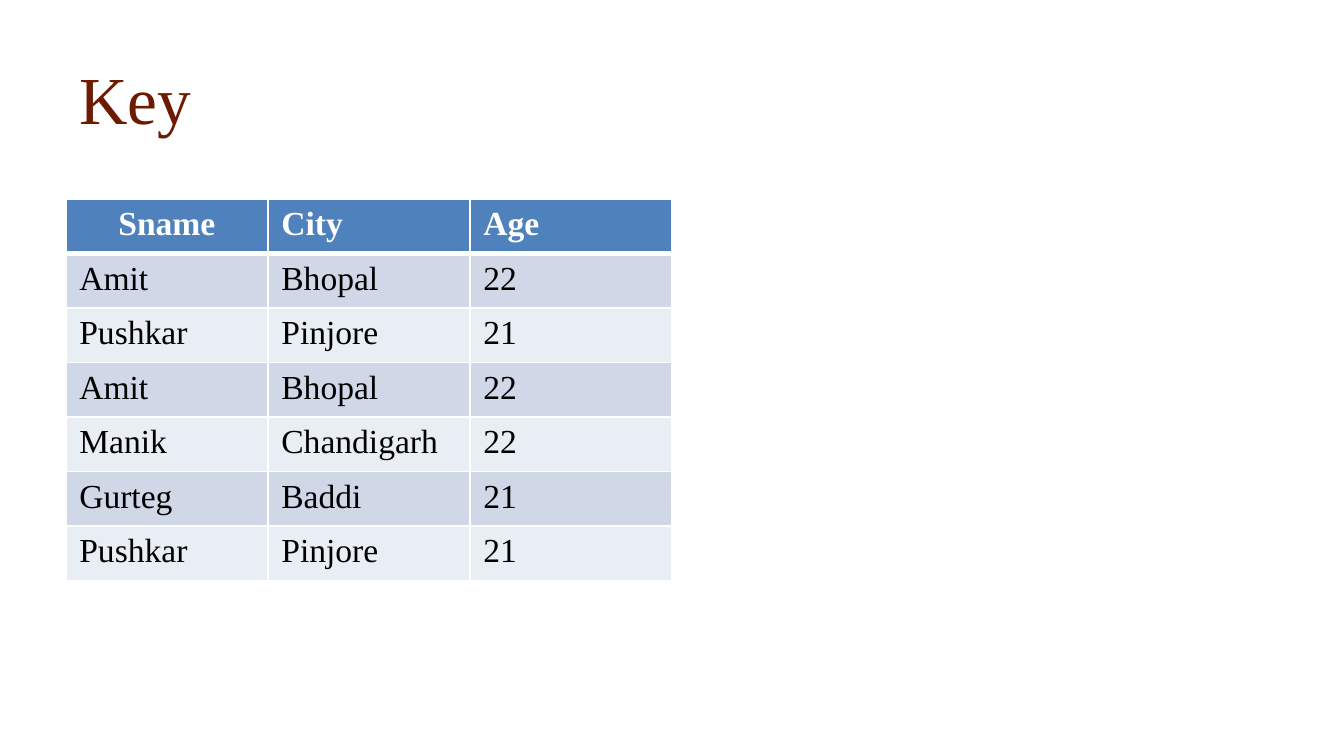
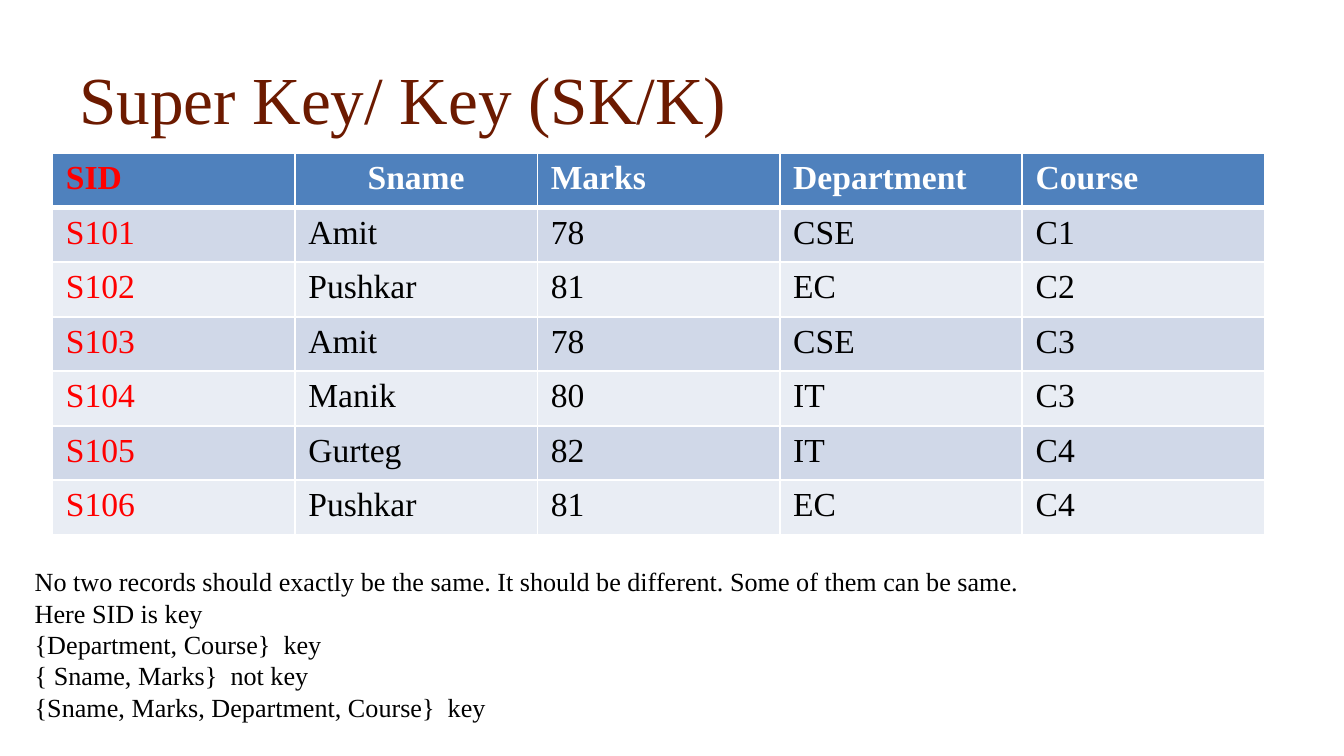
from dataclasses import dataclass

from lxml.etree import SubElement
from pptx import Presentation
from pptx.dml.color import RGBColor
from pptx.enum.text import MSO_ANCHOR as Anchor, PP_ALIGN as Align
from pptx.oxml.ns import qn
from pptx.util import Inches, Pt

SLIDE_WIDTH = 10
SLIDE_HEIGHT = SLIDE_WIDTH * 9 / 16
FONT = "Times New Roman"
MAROON, BLUE, RED = "6C1A00", "4F81BD", "FF0000"
WHITE, BLACK = "FFFFFF", "000000"
BANDS = ("D0D8E8", "E9EDF4")


@dataclass(frozen=True)
class Box:
    left: float
    top: float
    width: float
    height: float

    def lengths(self) -> list:
        return [Inches(n) for n in (self.left, self.top, self.width, self.height)]


@dataclass(frozen=True)
class Records:
    box: Box
    header: tuple[str, ...]
    rows: tuple[tuple[str, ...], ...]
    key: str = ""
    centred: str = "Sname"


TITLE_BOX = Box(0.49, 0.31, 9.02, 0.84)


def rgb(code: str) -> RGBColor:
    return RGBColor.from_string(code)


def add_run(paragraph, text: str, size: float, color: str, bold: bool = False) -> None:
    run = paragraph.add_run()
    run.text = text
    run.font.name = FONT
    run.font.size = Pt(size)
    run.font.bold = bold
    run.font.color.rgb = rgb(color)


def add_text(slide, box: Box, lines: tuple[str, ...], size: float, color: str,
             align: Align = Align.LEFT, anchor: Anchor = Anchor.TOP) -> None:
    frame = slide.shapes.add_textbox(*box.lengths()).text_frame
    frame.word_wrap = True
    frame.vertical_anchor = anchor
    for index, line in enumerate(lines):
        paragraph = frame.add_paragraph() if index else frame.paragraphs[0]
        paragraph.alignment = align
        add_run(paragraph, line, size, color)


def set_borders(cell, widths: dict[str, float]) -> None:
    properties = cell._tc.get_or_add_tcPr()
    for position, (side, width) in enumerate(widths.items()):
        line = SubElement(properties, qn(f"a:ln{side}"), w=str(Pt(width)))
        fill = SubElement(line, qn("a:solidFill"))
        SubElement(fill, qn("a:srgbClr"), val=WHITE)
        properties.insert(position, line)


def add_records(slide, records: Records) -> None:
    lines = (records.header, *records.rows)
    grid = slide.shapes.add_table(
        len(lines), len(records.header), *records.box.lengths()).table
    for row, line in enumerate(lines):
        is_header = row == 0
        for column, (name, value) in enumerate(zip(records.header, line)):
            cell = grid.cell(row, column)
            cell.fill.solid()
            cell.fill.fore_color.rgb = rgb(BLUE if is_header else BANDS[(row - 1) % 2])
            borders = {"L": 1, "R": 1, "T": 1, "B": 3} if is_header else {"L": 1, "R": 1, "B": 1}
            set_borders(cell, borders)
            paragraph = cell.text_frame.paragraphs[0]
            if is_header and name == records.centred:
                paragraph.alignment = Align.CENTER
            plain = WHITE if is_header else BLACK
            add_run(paragraph, value, 18, RED if name == records.key else plain, is_header)


def add_titled_slide(deck, title: str):
    slide = deck.slides.add_slide(deck.slide_layouts[6])
    slide.background.fill.solid()
    slide.background.fill.fore_color.rgb = rgb(WHITE)
    add_text(slide, TITLE_BOX, (title,), 36, MAROON, anchor=Anchor.MIDDLE)
    return slide


PEOPLE = Records(
    Box(0.49, 1.48, 4.51, 2.84),
    ("Sname", "City", "Age"),
    (
        ("Amit", "Bhopal", "22"),
        ("Pushkar", "Pinjore", "21"),
        ("Amit", "Bhopal", "22"),
        ("Manik", "Chandigarh", "22"),
        ("Gurteg", "Baddi", "21"),
        ("Pushkar", "Pinjore", "21"),
    ),
)

STUDENTS = Records(
    Box(0.39, 1.14, 9.02, 2.84),
    ("SID", "Sname", "Marks", "Department", "Course"),
    (
        ("S101", "Amit", "78", "CSE", "C1"),
        ("S102", "Pushkar", "81", "EC", "C2"),
        ("S103", "Amit", "78", "CSE", "C3"),
        ("S104", "Manik", "80", "IT", "C3"),
        ("S105", "Gurteg", "82", "IT", "C4"),
        ("S106", "Pushkar", "81", "EC", "C4"),
    ),
    key="SID",
)

KEY_RULES = (
    "No two records should exactly be the same. It should be different. "
    "Some of them can be same.",
    "Here SID is key",
    "{Department, Course}  key",
    "{ Sname, Marks}  not key",
    "{Sname, Marks, Department, Course}  key",
)


def main() -> None:
    deck = Presentation()
    deck.slide_width = Inches(SLIDE_WIDTH)
    deck.slide_height = Inches(SLIDE_HEIGHT)

    key_slide = add_titled_slide(deck, "Key")
    add_records(key_slide, PEOPLE)

    super_key_slide = add_titled_slide(deck, "Super Key/ Key (SK/K)")
    add_text(super_key_slide, Box(0.16, 4.16, 9.18, 1.28), KEY_RULES, 14, BLACK, Align.JUSTIFY)
    add_records(super_key_slide, STUDENTS)

    deck.save("out.pptx")


main()
